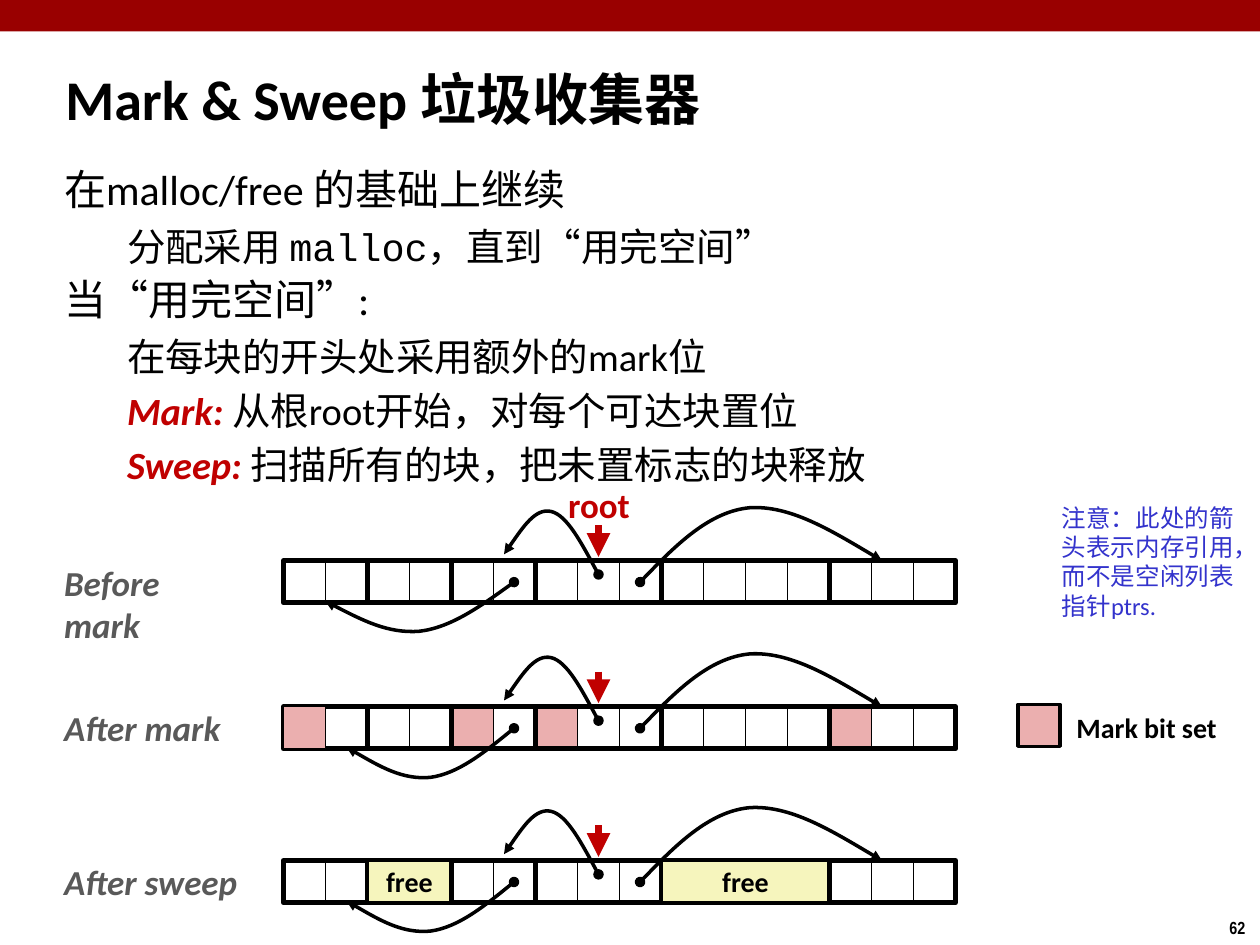
import lxml.etree
import pptx
import pptx.dml.color
import pptx.enum.shapes
import pptx.enum.text
import pptx.oxml.ns
import pptx.util
from pptx.util import Inches

COLORS = {"banner": "990000", "black": "000000", "accent": "C00000", "label": "595959",
          "note": "3333CC", "marked": "EBAFAF", "free": "F6F5BD"}
CELL = 1 / 3
ROW_LEFT = 2.25
BLOCK_CELLS = [2, 2, 2, 3, 4, 3]
MIDDLE = pptx.enum.text.MSO_ANCHOR.MIDDLE
CENTER = pptx.enum.text.PP_ALIGN.CENTER
qn = pptx.oxml.ns.qn


def rgb(name):
    return pptx.dml.color.RGBColor.from_string(COLORS[name])


def add_run(p, text, size, color="black", bold=False, italic=False, font="Calibri"):
    r = p.add_run()
    r.text = text
    r.font.name = font
    r.font.size = pptx.util.Pt(size)
    r.font.bold = bold
    r.font.italic = italic
    r.font.color.rgb = rgb(color)


def add_text(s, x, y, w, h, wrap=False):
    """Add an empty text box that fits its text; return its text frame."""
    tf = s.shapes.add_textbox(Inches(x), Inches(y), Inches(w), Inches(h)).text_frame
    tf.word_wrap = wrap
    tf.auto_size = pptx.enum.text.MSO_AUTO_SIZE.SHAPE_TO_FIT_TEXT
    return tf


def add_label(s, x, y, w, h, text, size, wrap=False, **style):
    tf = add_text(s, x, y, w, h, wrap)
    add_run(tf.paragraphs[0], text, size, **style)
    return tf


def add_rect(s, x, y, w, h, fill=None, line=None):
    sp = s.shapes.add_shape(pptx.enum.shapes.MSO_SHAPE.RECTANGLE,
                            Inches(x), Inches(y), Inches(w), Inches(h))
    sp.shadow.inherit = False
    if fill:
        sp.fill.solid()
        sp.fill.fore_color.rgb = rgb(fill)
    else:
        sp.fill.background()
    if line:
        set_line(sp, line)
    else:
        sp.line.fill.background()
    return sp


def set_line(sp, width, color="black", head=None, tail=None):
    sp.line.color.rgb = rgb(color)
    sp.line.width = pptx.util.Pt(width)
    ln = sp.element.spPr.find(qn("a:ln"))
    for tag, kind in (("a:headEnd", head), ("a:tailEnd", tail)):
        if kind:
            lxml.etree.SubElement(ln, qn(tag), type=kind)


def add_line(s, x, y1, y2, width, color="black", tail=None):
    """Add a vertical line."""
    line = s.shapes.add_connector(pptx.enum.shapes.MSO_CONNECTOR.STRAIGHT,
                                  Inches(x), Inches(y1), Inches(x), Inches(y2))
    set_line(line, width, color, tail=tail)
    lxml.etree.SubElement(line.element.spPr, qn("a:effectLst"))
    return line


def add_pointer(s, xs, ys):
    """Add an arrow of two Bézier pieces through seven control points."""
    points = [(Inches(x), Inches(y)) for x, y in zip(xs, ys)]
    builder = s.shapes.build_freeform(*points[0], scale=1.0)
    builder.add_line_segments(points[1:], close=False)
    sp = builder.convert_to_shape()
    sp.shadow.inherit = False
    sp.fill.background()
    set_line(sp, 2, head="oval", tail="triangle")
    segments = list(sp.element.iter(qn("a:lnTo")))
    outline = segments[0].getparent()
    for start in (0, 3):
        curve = lxml.etree.SubElement(outline, qn("a:cubicBezTo"))
        for segment in segments[start:start + 3]:
            curve.append(segment[0])
            outline.remove(segment)


def even(start, end):
    return [start + (end - start) * i / 6 for i in range(7)]


def add_pointers(s, y, left_end):
    pointers = [
        (even(4.75, 4), [0.11, -0.12, -0.36, -0.39, -0.42, -0.23, -0.05]),
        ([5.08, 5.35, 5.63, 5.95, 6.27, 6.63, 7], [0.17, -0.11, -0.39, -0.42, -0.44, -0.22, 0]),
        (even(4.08, left_end), [0.17, 0.35, 0.53, 0.56, 0.58, 0.45, 0.32]),
    ]
    for xs, offsets in pointers:
        add_pointer(s, xs, [y + offset for offset in offsets])


def add_heap(s, y, label, label_y, left_end, marked=(), freed=()):
    """Draw one heap row; marked lists cells, freed lists blocks."""
    def add_marks(cells):
        for cell in cells:
            add_rect(s, ROW_LEFT + cell * CELL, y, CELL, CELL, "marked", 0.75)

    add_marks(marked[1:])
    add_pointers(s, y, left_end)
    add_label(s, 0.41, label_y, 1.62, 0.44, label, 20, color="label", bold=True, italic=True)
    add_line(s, 4.75, y - 0.28, y - 0.03, 4.5, "accent", "triangle")

    first = 0
    for block, cells in enumerate(BLOCK_CELLS):
        x = ROW_LEFT + first * CELL
        box = add_rect(s, x, y, cells * CELL, CELL, line=3)
        if block in freed:
            sp = add_rect(s, x, y, cells * CELL, CELL, "free", 2)
            sp.text_frame.word_wrap = False
            sp.text_frame.vertical_anchor = MIDDLE
            p = sp.text_frame.paragraphs[0]
            p.alignment = CENTER
            add_run(p, "free", 16, bold=True)
        else:
            for i in range(1, cells):
                width = 1 if first + i - 1 in marked else 0.5
                tick = add_line(s, x + i * CELL, y, y + CELL, width)
                if 2 * i == cells:
                    tick.begin_connect(box, 0)
                    tick.end_connect(box, 2)
        first += cells
    add_marks(marked[:1])


def add_body(s):
    tf = add_text(s, 0.41, 1.28, 9.09, 2.63, wrap=True)
    tf.auto_size = pptx.enum.text.MSO_AUTO_SIZE.NONE
    key = {"color": "accent", "bold": True, "italic": True}
    lines = [
        (0, [("在malloc/free 的基础上继续", {})]),
        (1, [("分配采用 ", {}), ("malloc，直到“用完空间”", {"font": "Courier New"})]),
        (0, [("当“用完空间”:", {})]),
        (1, [("在每块的开头处采用额外的mark位", {})]),
        (1, [("Mark: ", key), ("从根root开始，对每个可达块置位", {})]),
        (1, [("Sweep: ", key), ("扫描所有的块，把未置标志的块释放", {})]),
    ]
    for i, (level, runs) in enumerate(lines):
        p = tf.add_paragraph() if i else tf.paragraphs[0]
        size = 22 if level else 24
        p.level = level
        p.space_before = pptx.util.Pt(0.2 * size if i else 0)
        if level:
            p._p.get_or_add_pPr().set("marL", str(Inches(0.5)))
        else:
            p.line_spacing = 0.95
        for text, style in runs:
            add_run(p, text, size, **style)


def main():
    prs = pptx.Presentation()
    prs.slide_width, prs.slide_height = Inches(10), Inches(7.5)
    s = prs.slides.add_slide(prs.slide_layouts[6])

    add_rect(s, 0, 0, 10, 0.25, "banner")
    add_label(s, 9.66, 7.23, 0.34, 0.27, "62", 10, bold=True, font="Arial Narrow")
    tf = add_label(s, 0.42, 0.5, 7.82, 0.63, "Mark & Sweep 垃圾收集器", 32, wrap=True, bold=True)
    tf.auto_size = pptx.enum.text.MSO_AUTO_SIZE.NONE
    tf.vertical_anchor = MIDDLE
    tf.paragraphs[0].line_spacing = 0.87
    add_body(s)

    add_heap(s, 5.61, "After mark", 5.56, 2.75, marked=(0, 4, 6, 13))
    add_rect(s, 8.08, 5.59, CELL, CELL, "marked", 2)
    tf = add_label(s, 8.44, 5.59, 1.32, 0.37, "Mark bit set", 16, bold=True)
    tf.paragraphs[0].alignment = CENTER
    add_heap(s, 6.83, "After sweep", 6.78, 2.75, freed=(1, 4))
    add_label(s, 4.41, 3.79, 0.69, 0.44, "root", 20, color="accent", bold=True)
    add_heap(s, 4.45, "Before mark", 4.41, 2.58)
    add_label(s, 8.33, 3.94, 1.67, 1.04, "注意：此处的箭头表示内存引用，而不是空闲列表指针ptrs.",
              14, wrap=True, color="note")
    prs.save("out.pptx")


if __name__ == "__main__":
    main()
